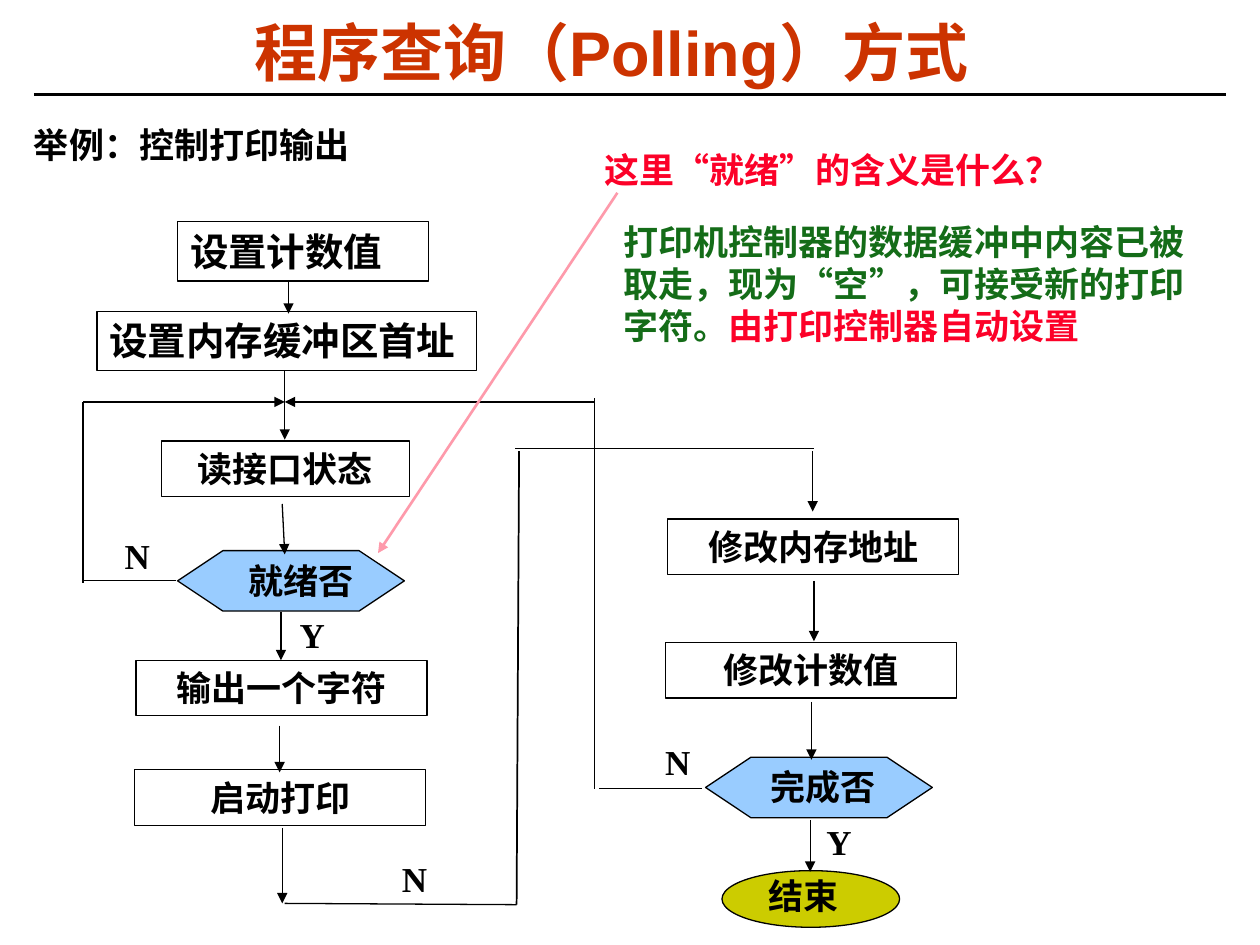
from lxml.etree import SubElement
from pptx import Presentation
from pptx.dml.color import RGBColor
from pptx.enum.shapes import MSO_CONNECTOR, MSO_SHAPE
from pptx.enum.text import MSO_ANCHOR, PP_ALIGN
from pptx.oxml.ns import qn
from pptx.util import Emu, Inches, Pt

COLUMNS, ROWS = 1000, 750
LATIN, SERIF, CHINESE = "Arial", "Times New Roman", "Noto Sans CJK SC"
BLACK, RED, GREEN, ORANGE = "000000", "FC0128", "146C18", "CC3300"
BLUE, OLIVE, PINK = "99CCFF", "CCCC00", "FE9AAB"
LEFT, CENTER = PP_ALIGN.LEFT, PP_ALIGN.CENTER
LABEL_SIZE = (59, 44)

TITLE = ("程序查询（Polling）方式", (75, 16, 820, 58))
EXAMPLE = ("举例：控制打印输出", (20, 95, 300, 39))

STEPS = [
    ("设置计数值", (141, 176, 199, 47), 22, LEFT),
    ("设置内存缓冲区首址", (77, 247, 301, 47), 22, LEFT),
    ("读接口状态", (128, 350, 197, 44), 20, CENTER),
    ("输出一个字符", (108, 524, 231, 44), 20, CENTER),
    ("启动打印", (107, 611, 231, 44), 20, CENTER),
    ("修改内存地址", (530, 412, 231, 44), 20, CENTER),
    ("修改计数值", (528, 510, 231, 44), 20, CENTER),
]
NODES = [
    ("就绪否", MSO_SHAPE.FLOWCHART_PREPARATION, BLUE, (141, 437, 180, 48), (178, 439, 122, 44), CENTER),
    ("完成否", MSO_SHAPE.FLOWCHART_PREPARATION, BLUE, (560, 601, 180, 48), (592, 603, 122, 44), CENTER),
    ("结束", MSO_SHAPE.OVAL, OLIVE, (573, 691, 141, 45), (600, 689, 137, 44), LEFT),
]
BRANCHES = [("N", 89, 419), ("Y", 228, 482), ("N", 309, 676), ("Y", 646, 646), ("N", 518, 583)]
NOTES = [
    ((470, 113, 498, 44), [
        ("这里", LATIN, RED), ("“", CHINESE, RED), ("就绪", LATIN, RED),
        ("”", CHINESE, RED), ("的含义是什么？", LATIN, RED)]),
    ((485, 170, 488, 110), [
        ("打印机控制器的数据缓冲中内容已被取走，现为", LATIN, GREEN),
        ("“", CHINESE, GREEN), ("空", LATIN, GREEN), ("”", CHINESE, GREEN),
        ("，可接受新的打印字符。", LATIN, GREEN), ("由打印控制器自动设置", LATIN, RED)]),
]

ARROWS = [
    (229, 223, 229, 249), (226, 294, 226, 349), (224, 400, 226, 440),
    (223, 486, 223, 524), (222, 576, 222, 613), (224, 657, 224, 717),
    (645, 358, 645, 406), (646, 461, 646, 509), (644, 557, 644, 603),
    (643, 651, 643, 692), (66, 319, 226, 319), (472, 319, 226, 319),
]
LINES = [
    (140, 461, 66, 461), (66, 319, 66, 463), (557, 626, 475, 626),
    (472, 316, 472, 626), (226, 717, 410, 718), (409, 356, 646, 356),
]

deck = Presentation()
deck.slide_width, deck.slide_height = Inches(10), Inches(7.5)
page = deck.slides.add_slide(deck.slide_layouts[6])


def color(value):
    return RGBColor.from_string(value)


def place(*cells):
    sizes = (deck.slide_width / COLUMNS, deck.slide_height / ROWS)
    return [Emu(round(cell * sizes[i % 2])) for i, cell in enumerate(cells)]


def write(box, spans, size, align=LEFT, margins=(0.1, 0.05), anchor=MSO_ANCHOR.TOP, spacing=1.0):
    across, down = map(Inches, margins)
    frame = box.text_frame
    settings = {"word_wrap": True, "vertical_anchor": anchor, "margin_left": across,
                "margin_right": across, "margin_top": down, "margin_bottom": down}
    for name, value in settings.items():
        setattr(frame, name, value)
    para = frame.paragraphs[0]
    para.alignment, para.line_spacing = align, spacing
    for text, font, shade in spans:
        span = para.add_run()
        span.text = text
        for name, value in {"name": font, "size": Pt(size), "bold": True}.items():
            setattr(span.font, name, value)
        span.font.color.rgb = color(shade)
        SubElement(span.font._element, qn("a:ea"), typeface=CHINESE)


def add_text(cells, spans, size=20, **layout):
    write(page.shapes.add_textbox(*place(*cells)), spans, size, **layout)


def add_outline(kind, cells, fill=None):
    shape = page.shapes.add_shape(kind, *place(*cells))
    shape.shadow.inherit = False
    if fill:
        shape.fill.solid()
        shape.fill.fore_color.rgb = color(fill)
    else:
        shape.fill.background()
    shape.line.color.rgb = color(BLACK)
    shape.line.width = Pt(0.75)
    return shape


def add_line(cells, arrow=False, shade=BLACK, width=0.75):
    line = page.shapes.add_connector(MSO_CONNECTOR.STRAIGHT, *place(*cells))
    line.line.color.rgb = color(shade)
    line.line.width = Pt(width)
    properties = line._element.spPr
    if arrow:
        SubElement(properties.find(qn("a:ln")), qn("a:tailEnd"), type="triangle")
    SubElement(properties, qn("a:effectLst"))


add_line((27, 75, 973, 75), width=1.5)
text, cells = TITLE
add_text(cells, [(text, LATIN, ORANGE)], 36, align=CENTER, margins=(0.07, 0.03),
         anchor=MSO_ANCHOR.MIDDLE, spacing=0.87)
text, cells = EXAMPLE
add_text(cells, [(text, LATIN, BLACK)], margins=(0.07, 0.03))

for text, cells, size, align in STEPS:
    write(add_outline(MSO_SHAPE.RECTANGLE, cells), [(text, SERIF, BLACK)], size, align)
for text, kind, fill, cells, text_cells, align in NODES:
    add_outline(kind, cells, fill)
    add_text(text_cells, [(text, SERIF, BLACK)], align=align)
for text, column, row in BRANCHES:
    add_text((column, row, *LABEL_SIZE), [(text, SERIF, BLACK)])

for cells in ARROWS:
    add_line(cells, arrow=True)
for cells in LINES:
    add_line(cells)
for cells, spans in NOTES:
    add_text(cells, spans)
add_line((412, 358, 410, 718), width=1)
add_line((490, 153, 300, 439), arrow=True, shade=PINK, width=1.5)

deck.save("out.pptx")
